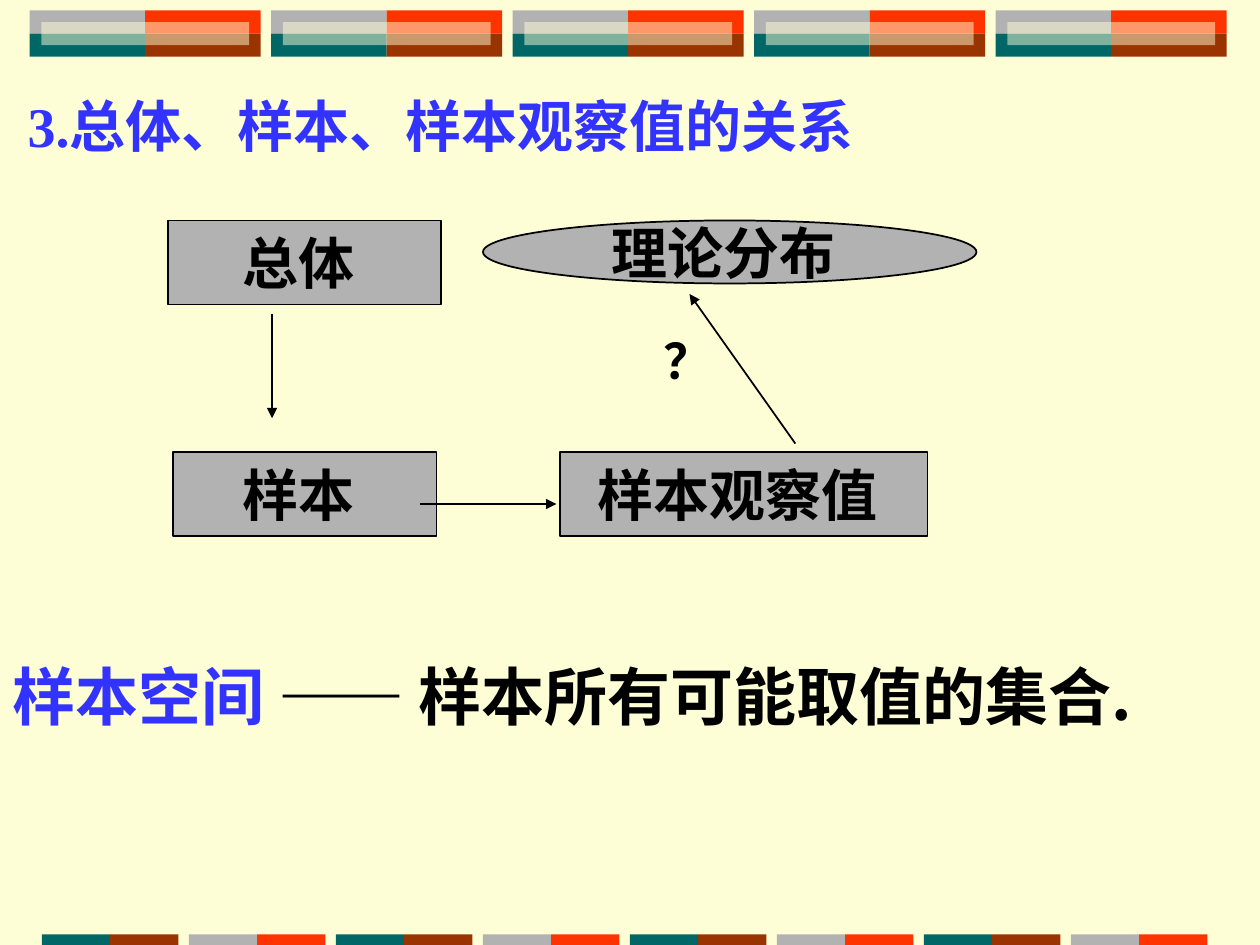
from lxml.etree import SubElement as Sub
from pptx import Presentation
from pptx.dml.color import RGBColor
from pptx.enum.shapes import MSO_CONNECTOR as Conn, MSO_SHAPE as Kind
from pptx.enum.text import MSO_ANCHOR as Anchor, PP_ALIGN as Align
from pptx.oxml.ns import qn
from pptx.util import Pt

CREAM, GRAY, RED = "FEFED6", "B2B2B2", "FF3300"
BROWN, TEAL, BLUE, BLACK = "993300", "006666", "3333FF", "000000"
SANS, SERIF = "Noto Sans CJK SC", "Times New Roman"


def paint(fill, hue):
    fill.solid()
    fill.fore_color.rgb = RGBColor.from_string(hue)


def place(shape, box):
    shape.left, shape.top, shape.width, shape.height = map(Pt, box)


def write(frame, runs, size, align=Align.LEFT, anchor=Anchor.MIDDLE, wrap=False):
    frame.word_wrap = wrap
    frame.vertical_anchor = anchor
    para = frame.paragraphs[0]
    para.alignment = align
    for text, hue, face in runs:
        run = para.add_run()
        run.text = text
        font = run.font
        font.size, font.bold, font.name = Pt(size), True, face
        paint(font.fill, hue)
        Sub(run._r.rPr, qn("a:ea")).set("typeface", SANS)
    return para


def add_shape(slide, kind, box, hue):
    shape = slide.shapes.add_shape(kind, *map(Pt, box))
    shape.shadow.inherit = False
    paint(shape.fill, hue)
    shape.line.fill.background()
    return shape


def add_bar(slide, box, hue, alpha=None):
    bar = add_shape(slide, Kind.RECTANGLE, box, hue)
    if alpha:
        tint = bar.fill._xPr.find(".//" + qn("a:srgbClr"))
        Sub(tint, qn("a:alpha")).set("val", str(alpha * 1000))


def add_node(slide, kind, box, text):
    node = add_shape(slide, kind, box, GRAY)
    paint(node.line.fill, BLACK)
    node.line.width = Pt(1)
    write(node.text_frame, [(text, BLACK, SANS)], 32, Align.CENTER)


def add_arrow(slide, *ends):
    arrow = slide.shapes.add_connector(Conn.STRAIGHT, *map(Pt, ends))
    paint(arrow.line.fill, BLACK)
    arrow.line.width = Pt(1)
    Sub(arrow.line._get_or_add_ln(), qn("a:tailEnd")).set("type", "triangle")
    Sub(arrow._element.spPr, qn("a:effectLst"))


def add_text(slide, box, runs, size, **style):
    frame = slide.shapes.add_textbox(*map(Pt, box)).text_frame
    return write(frame, runs, size, anchor=Anchor.TOP, **style)


def add_title(slide, box, text):
    title = slide.shapes.title
    place(title, box)
    write(title.text_frame, [(text, BLUE, SERIF)], 32, wrap=True)


def add_bands(slide):
    wide, high, top = 66, 13.2, 6
    for i in range(5):
        left = 17 + 138 * i
        for row, pair in enumerate([(GRAY, RED), (TEAL, BROWN)]):
            for col, hue in enumerate(pair):
                box = left + col * wide, top + row * high, wide, high
                add_bar(slide, box, hue)
        add_bar(slide, (left + 6.6, top + high / 2, 118.8, high), CREAM, 50)
    for i in range(8):
        for col, hue in enumerate([(TEAL, BROWN), (GRAY, RED)][i % 2]):
            add_bar(slide, (24 + 84 * i + 39 * col, 534, 39, 6), hue)


def main():
    deck = Presentation()
    deck.slide_width, deck.slide_height = Pt(720), Pt(540)
    slide = deck.slides.add_slide(deck.slide_layouts[5])
    paint(slide.background.fill, CREAM)

    add_bands(slide)
    add_title(slide, (8.6, 49, 510.5, 45.4), "3.总体、样本、样本观察值的关系")

    add_node(slide, Kind.RECTANGLE, (96, 126, 156, 48), "总体 ")
    add_node(slide, Kind.RECTANGLE, (99, 258.5, 150.5, 48), "样本 ")
    add_node(slide, Kind.RECTANGLE, (320, 258.5, 210, 48), "样本观察值 ")
    add_node(slide, Kind.OVAL, (276, 126, 282, 36), "理论分布 ")

    add_arrow(slide, 155.5, 179.5, 155.5, 239)
    add_arrow(slide, 240, 288, 318, 288)
    add_arrow(slide, 454.5, 253.5, 394, 168)

    mark = add_text(slide, (372, 192, 36, 36), [("？", BLACK, SANS)], 27.9,
                    align=Align.CENTER)
    mark.line_spacing = 0.8
    add_text(slide, (0, 372, 698.4, 50.4), [
        ("样本空间 ", BLUE, SANS),
        ("—— ", BLACK, SERIF),
        ("样本所有可能取值的集合.", BLACK, SANS),
    ], 36, wrap=True)

    deck.save("out.pptx")


if __name__ == "__main__":
    main()
